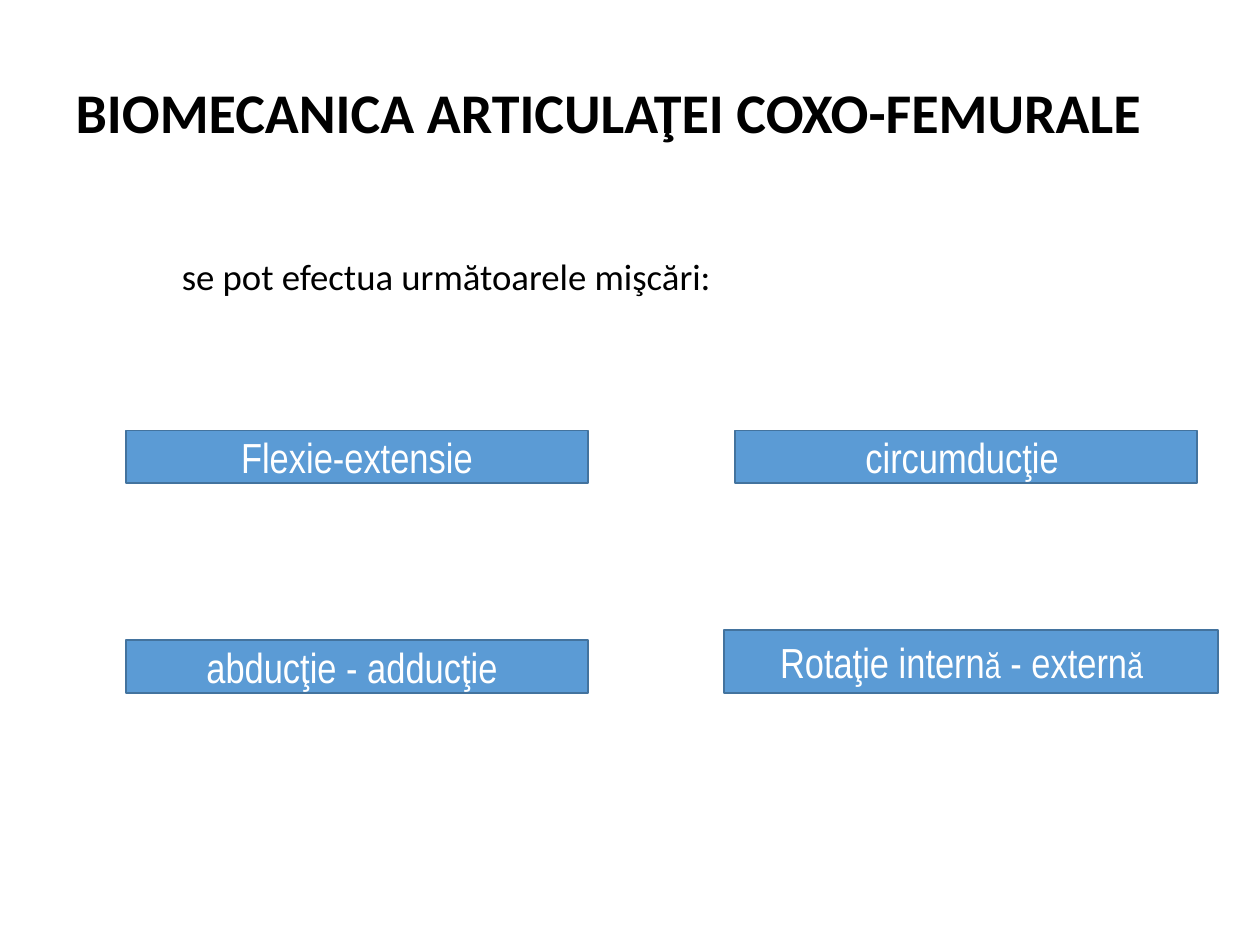
import dataclasses

import pptx
import pptx.dml.color
import pptx.enum.shapes
import pptx.enum.text
import pptx.oxml.ns
import pptx.util
from lxml import etree

Cm, Pt = pptx.util.Cm, pptx.util.Pt
RGBColor = pptx.dml.color.RGBColor
ALIGN = pptx.enum.text.PP_ALIGN
ANCHOR = pptx.enum.text.MSO_ANCHOR

BLACK = RGBColor(0x00, 0x00, 0x00)
WHITE = RGBColor(0xFF, 0xFF, 0xFF)
BLUE = RGBColor(0x5B, 0x9B, 0xD5)
DARK_BLUE = RGBColor(0x43, 0x73, 0x9E)

LEFT_COLUMN, RIGHT_COLUMN = 2.54, 14.82
TOP_ROW, BOTTOM_ROW = 8.68, 12.91


@dataclasses.dataclass
class Movement:
    """A labelled box; lengths are in centimetres."""
    runs: list[tuple[str, int]]
    left: float
    top: float
    width: float = 9.31
    height: float = 1.06
    right_inset: float = 0.25


MOVEMENTS = [
    Movement([("Flexie-extensie", 24)], LEFT_COLUMN, TOP_ROW),
    Movement([("abducţie - adducţie", 24)], LEFT_COLUMN, BOTTOM_ROW,
             right_inset=0.45),
    Movement([("circumducţie", 24)], RIGHT_COLUMN, TOP_ROW, right_inset=0.41),
    Movement([("Rotaţie intern", 24), ("ă", 20), (" - extern", 24), ("ă", 20)],
             14.6, 12.7, 9.95, 1.27, right_inset=0.63),
]


def format_run(r, font: str, size: float, color: RGBColor,
               bold: bool = False) -> None:
    """Set the font of one run."""
    r.font.name = font
    r.font.size = Pt(size)
    r.font.bold = bold
    r.font.color.rgb = color


def fill_placeholder(sp, text: str, box: tuple[float, float, float, float],
                     size: float, bold: bool = False):
    """Move a placeholder, write its text and return the paragraph."""
    sp.left, sp.top, sp.width, sp.height = (Cm(v) for v in box)
    tf = sp.text_frame
    tf.text = text
    tf.word_wrap = True
    p = tf.paragraphs[0]
    p.alignment = ALIGN.LEFT
    p.line_spacing = 0.9
    format_run(p.runs[0], "Calibri", size, BLACK, bold)
    return p


def add_movement(s, movement: Movement) -> None:
    """Draw one movement box with its centred label."""
    sp = s.shapes.add_shape(
        pptx.enum.shapes.MSO_SHAPE.FLOWCHART_PROCESS,
        Cm(movement.left), Cm(movement.top),
        Cm(movement.width), Cm(movement.height))
    sp.shadow.inherit = False
    sp.fill.solid()
    sp.fill.fore_color.rgb = BLUE
    sp.line.color.rgb = DARK_BLUE
    sp.line.width = Pt(1)
    tf = sp.text_frame
    tf.word_wrap = True
    tf.vertical_anchor = ANCHOR.MIDDLE
    tf.margin_right = Cm(movement.right_inset)
    p = tf.paragraphs[0]
    p.alignment = ALIGN.CENTER
    for text, size in movement.runs:
        r = p.add_run()
        r.text = text
        format_run(r, "Arial Narrow", size, WHITE)


prs = pptx.Presentation()
prs.slide_width, prs.slide_height = Cm(25.4), Cm(19.05)
s = prs.slides.add_slide(prs.slide_layouts[1])

fill_placeholder(s.shapes.title, "BIOMECANICA ARTICULAŢEI COXO-FEMURALE",
                 (1.27, 0.43, 22.86, 3.81), 32, bold=True)
s.shapes.title.text_frame.vertical_anchor = ANCHOR.MIDDLE

p = fill_placeholder(s.placeholders[1], "se pot efectua următoarele mişcări:",
                     (1.75, 5.08, 21.9, 12.09), 21)
p.space_before = Pt(7.5)
pPr = p._p.get_or_add_pPr()
pPr.set("marL", str(Cm(1.66)))
pPr.set("indent", "0")
etree.SubElement(pPr, pptx.oxml.ns.qn("a:buNone"))

for movement in MOVEMENTS:
    add_movement(s, movement)

prs.save("out.pptx")
